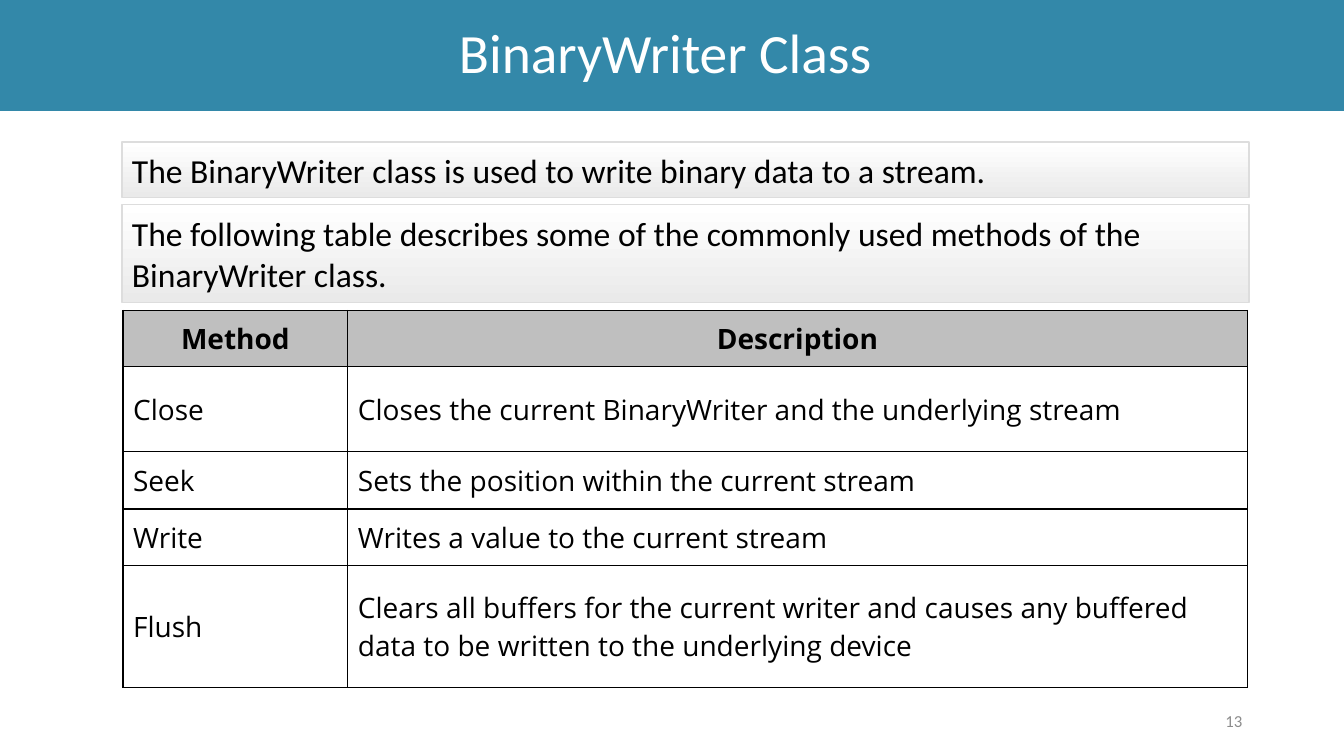
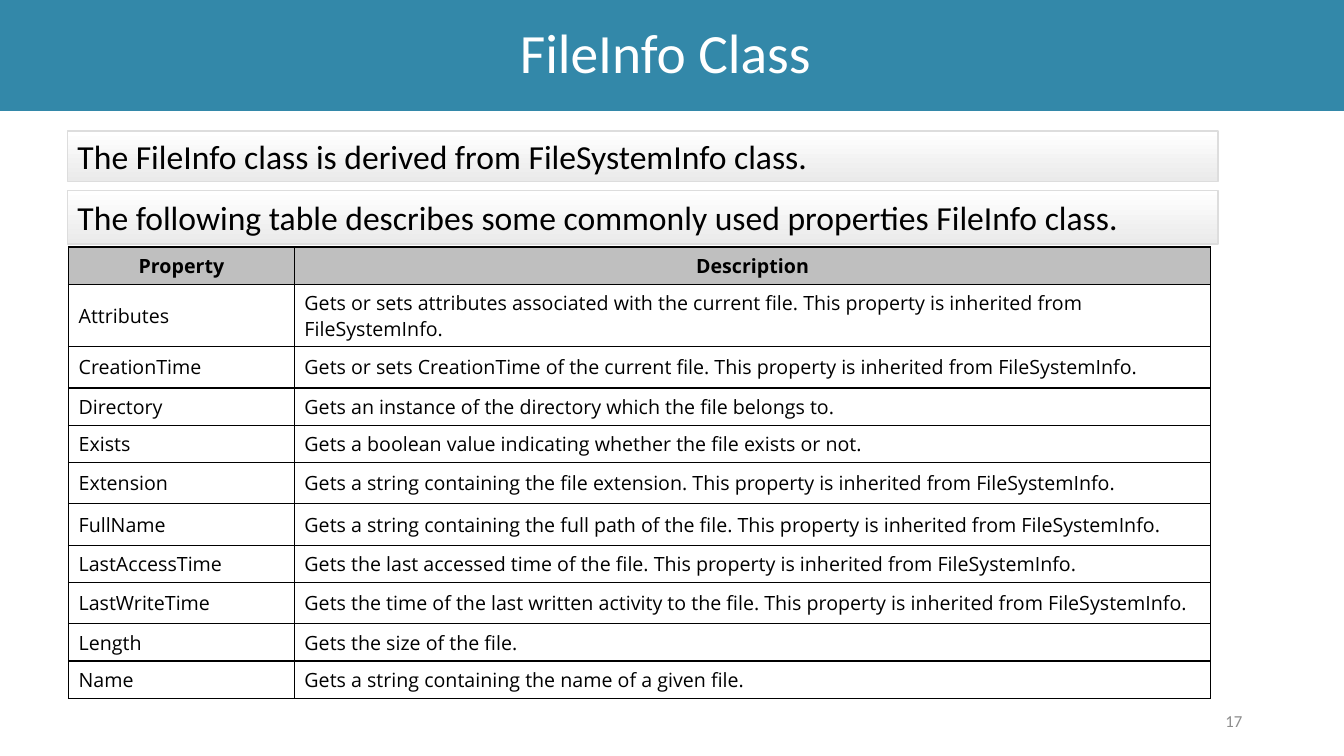
import lxml.etree
import pptx
import pptx.dml.color
import pptx.enum.shapes
import pptx.enum.text
import pptx.oxml.ns
import pptx.util

Inches = pptx.util.Inches
Align = pptx.enum.text.PP_ALIGN
Anchor = pptx.enum.text.MSO_ANCHOR

COLORS = {
    "band": "3388A9",
    "title": "FFFFFF",
    "text": "000000",
    "number": "8C8C8C",
    "panel_top": "FFFFFF",
    "panel_bottom": "EAEAEA",
    "panel_line": "DDDDDD",
    "header": "BFBFBF",
    "border": "000000",
}
BODY_FONT = "Calibri"
TABLE_FONT = "Open Sans"
SLIDE_WIDTH, SLIDE_HEIGHT = 13.33, 7.5

# Panels hold (top, height, text); table rows hold (height, name, description)
SLIDES = [
    {
        "title": "BinaryWriter Class",
        "number": "13",
        "panel_span": (1.21, 11.18),
        "panels": [
            (1.41, 0.55, "The BinaryWriter class is used to write binary data to a stream."),
            (2.03, 0.97, "The following table describes some of the commonly used methods "
                         "of the BinaryWriter class."),
        ],
        "table_corner": (1.22, 3.08),
        "columns": (2.23, 8.92),
        "size": 20,
        "rows": [
            (0.56, "Method", "Description"),
            (0.84, "Close", "Closes the current BinaryWriter and the underlying stream"),
            (0.57, "Seek", "Sets the position within the current stream"),
            (0.56, "Write", "Writes a value to the current stream"),
            (1.21, "Flush", "Clears all buffers for the current writer and causes any "
                            "buffered data to be written to the underlying device"),
        ],
    },
    {
        "title": "FileInfo Class",
        "number": "17",
        "panel_span": (0.67, 11.41),
        "panels": [
            (1.3, 0.5, "The FileInfo class is derived from FileSystemInfo class."),
            (1.89, 0.53, "The following table describes some commonly used properties "
                         "FileInfo class."),
        ],
        "table_corner": (0.68, 2.45),
        "columns": (2.24, 9.09),
        "size": 14,
        "rows": [
            (0.37, "Property", "Description"),
            (0.62, "Attributes", "Gets or sets attributes associated with the current file. "
                                 "This property is inherited from FileSystemInfo."),
            (0.41, "CreationTime", "Gets or sets CreationTime of the current file. "
                                   "This property is inherited from FileSystemInfo."),
            (0.37, "Directory", "Gets an instance of the directory which the file belongs to."),
            (0.37, "Exists", "Gets a boolean value indicating whether the file exists or not."),
            (0.41, "Extension", "Gets a string containing the file extension. "
                                "This property is inherited from FileSystemInfo."),
            (0.41, "FullName", "Gets a string containing the full path of the file. "
                               "This property is inherited from FileSystemInfo."),
            (0.37, "LastAccessTime", "Gets the last accessed time of the file. "
                                     "This property is inherited from FileSystemInfo."),
            (0.41, "LastWriteTime", "Gets the time of the last written activity to the file. "
                                    "This property is inherited from FileSystemInfo."),
            (0.37, "Length", "Gets the size of the file."),
            (0.37, "Name", "Gets a string containing the name of a given file."),
        ],
    },
]


def color(name):
    return pptx.dml.color.RGBColor.from_string(COLORS[name])


def write(frame, text, size, font=BODY_FONT, ink="text", bold=False,
          align=Align.LEFT, spacing=None):
    frame.word_wrap = True
    para = frame.paragraphs[0]
    para.alignment = align
    para.line_spacing = spacing
    span = para.add_run()
    span.text = text
    span.font.size = pptx.util.Pt(size)
    span.font.name = font
    span.font.bold = bold
    span.font.color.rgb = color(ink)


def add_rectangle(page, box):
    shape = page.shapes.add_shape(pptx.enum.shapes.MSO_SHAPE.RECTANGLE,
                                  *map(Inches, box))
    shape.shadow.inherit = False
    shape.text_frame.vertical_anchor = Anchor.MIDDLE
    return shape


def add_title_band(page, box, title):
    band = add_rectangle(page, box)
    band.fill.solid()
    band.fill.fore_color.rgb = color("band")
    band.line.fill.background()
    band.text_frame.margin_right = Inches(0.23)
    write(band.text_frame, title, 39.6, ink="title", align=Align.CENTER, spacing=0.9)


def add_page_number(page, box, number):
    frame = page.shapes.add_textbox(*map(Inches, box)).text_frame
    frame.vertical_anchor = Anchor.MIDDLE
    write(frame, number, 12, ink="number", align=Align.RIGHT)


def add_panel(page, box, text):
    panel = add_rectangle(page, box)
    panel.fill.gradient()
    panel.fill.gradient_angle = 270
    for stop, name in zip(panel.fill.gradient_stops, ("panel_top", "panel_bottom")):
        stop.color.rgb = color(name)
    panel.line.color.rgb = color("panel_line")
    panel.line.width = pptx.util.Pt(1)
    write(panel.text_frame, text, 24)


def add_borders(cell):
    qn = pptx.oxml.ns.qn
    properties = cell._tc.get_or_add_tcPr()
    for side in "LRTB":
        line = lxml.etree.SubElement(properties, qn(f"a:ln{side}"),
                                     w=str(pptx.util.Pt(1)))
        fill = lxml.etree.SubElement(line, qn("a:solidFill"))
        lxml.etree.SubElement(fill, qn("a:srgbClr"), val=COLORS["border"])


def add_grid(page, corner, columns, rows, size):
    box = (*corner, sum(columns), sum(row[0] for row in rows))
    table = page.shapes.add_table(len(rows), len(columns), *map(Inches, box)).table
    table.horz_banding = False
    for column, width in zip(table.columns, columns):
        column.width = Inches(width)
    for row_index, (height, *texts) in enumerate(rows):
        is_header = row_index == 0
        table.rows[row_index].height = Inches(height)
        for cell, text in zip(table.rows[row_index].cells, texts):
            cell.vertical_anchor = Anchor.MIDDLE
            add_borders(cell)
            if is_header:
                cell.fill.solid()
                cell.fill.fore_color.rgb = color("header")
            else:
                cell.fill.background()
            write(cell.text_frame, text, size, font=TABLE_FONT, bold=is_header,
                  align=Align.CENTER if is_header else Align.LEFT)


def add_class_page(deck, content):
    page = deck.slides.add_slide(deck.slide_layouts[6])
    # Shared band and page number
    add_title_band(page, (0, 0, SLIDE_WIDTH, 1.1), content["title"])
    add_page_number(page, (9.42, 6.95, 3, 0.4), content["number"])
    # Reference table
    add_grid(page, content["table_corner"], content["columns"],
             content["rows"], content["size"])
    # Introductory panels
    left, width = content["panel_span"]
    for top, height, text in content["panels"]:
        add_panel(page, (left, top, width, height), text)


def main():
    deck = pptx.Presentation()
    deck.slide_width = Inches(SLIDE_WIDTH)
    deck.slide_height = Inches(SLIDE_HEIGHT)
    for content in SLIDES:
        add_class_page(deck, content)
    deck.save("out.pptx")


if __name__ == "__main__":
    main()
